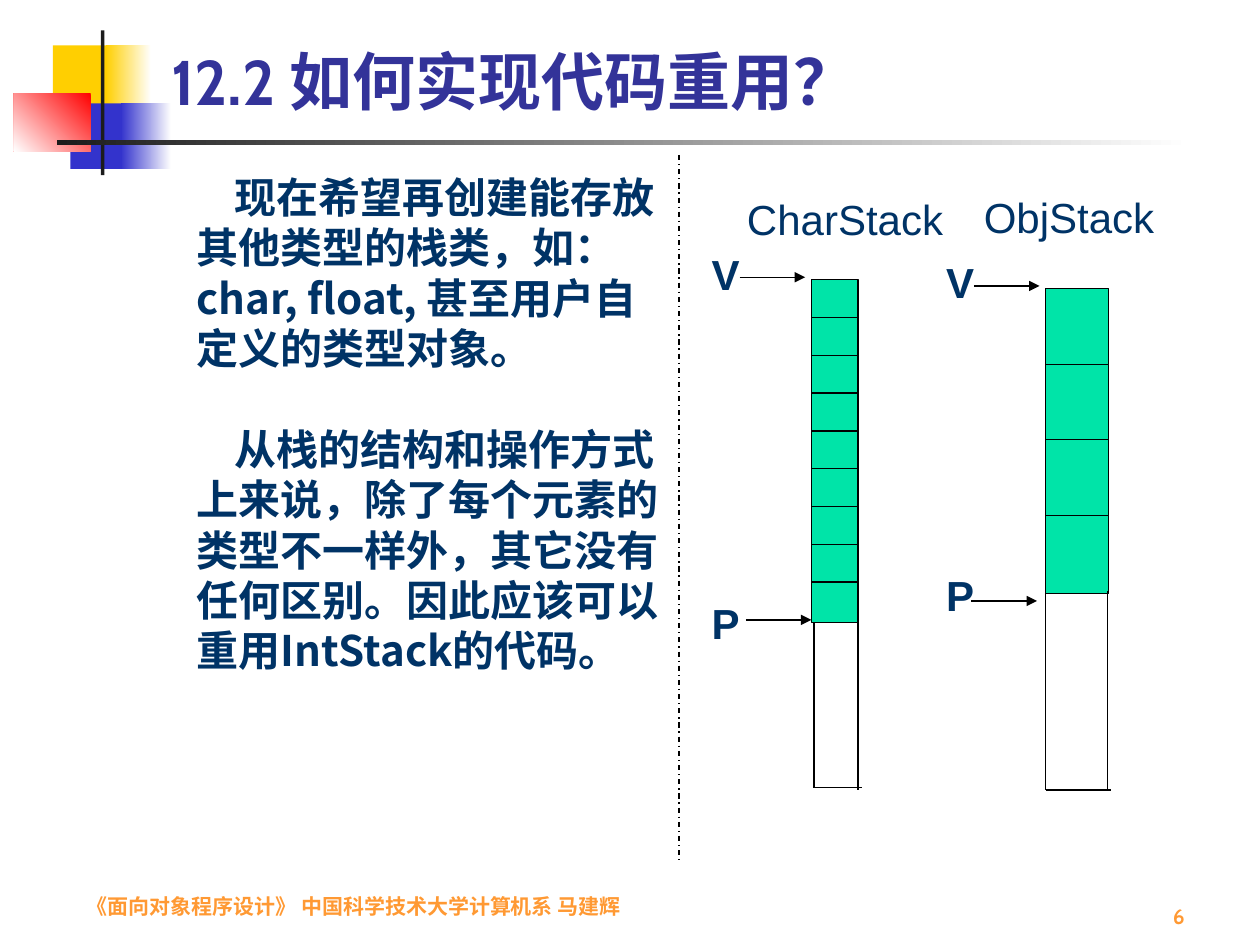
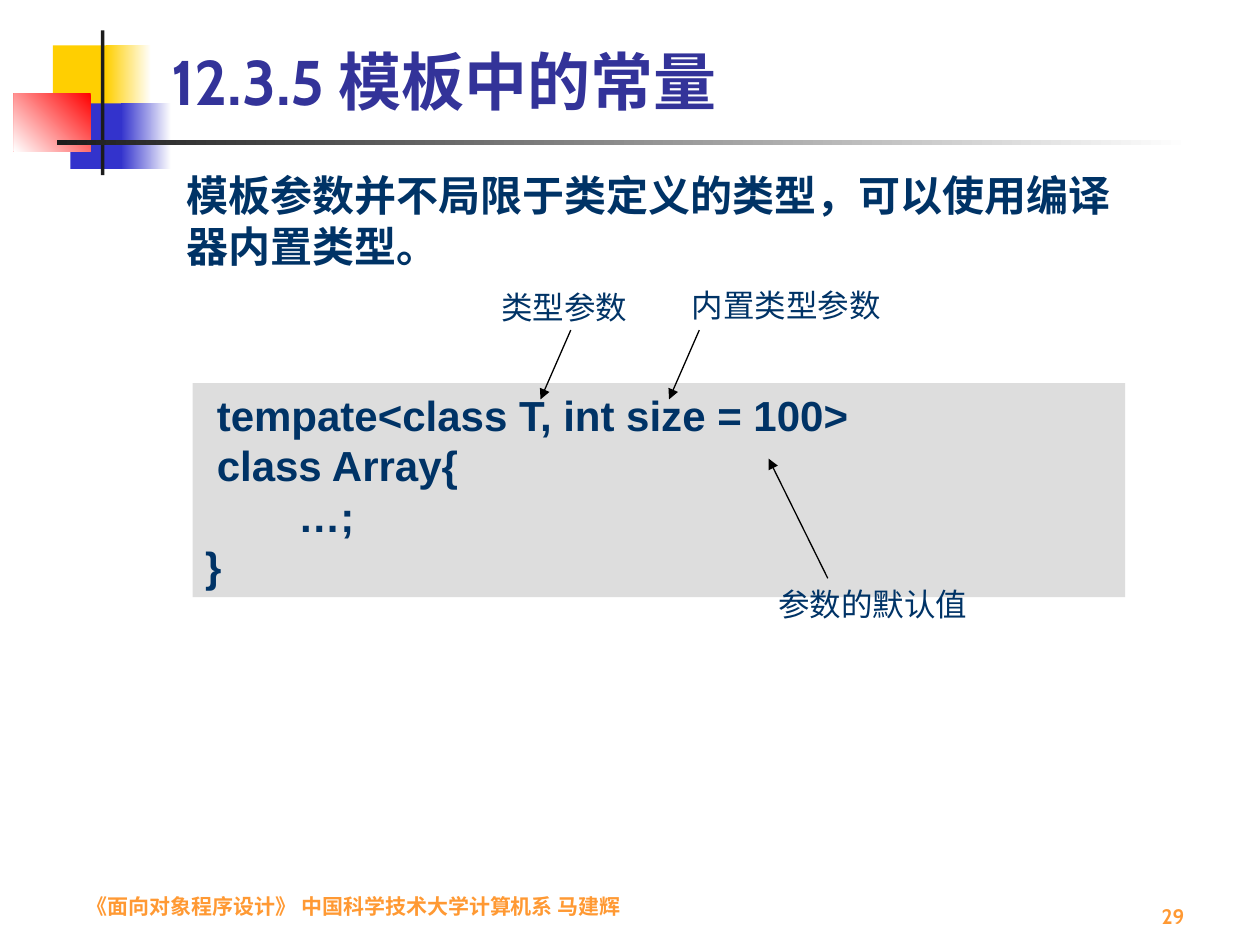
from pptx import Presentation
from pptx.dml.color import RGBColor
from pptx.enum.dml import MSO_LINE
from pptx.enum.shapes import MSO_CONNECTOR, MSO_SHAPE
from pptx.enum.text import MSO_ANCHOR, PP_ALIGN
from pptx.oxml.ns import qn
from pptx.util import Inches, Pt
from lxml import etree

# Shared look
WHITE, YELLOW, BLUE, RED, DARK = "FFFFFF", "FFCF01", "3333CC", "FF0000", "1C1C1C"
BLACK, GREEN, GRAY = "000000", "00E4A8", "DDDDDD"
INK, TITLE_COLOR, FOOTER_COLOR = "003366", "333399", "FF9933"
BODY_FONT, TITLE_FONT, CJK_FONT = "Arial", "Cabin", "Noto Sans CJK SC"
FOOTER = "《面向对象程序设计》 中国科学技术大学计算机系 马建辉"


def rgb(color):
    return RGBColor.from_string(color)


# Element builders
def add_rect(slide, x, y, w, h, fill, line=None, angle=0):
    """Draw a rectangle; a pair of colours gives a gradient."""
    sp = slide.shapes.add_shape(MSO_SHAPE.RECTANGLE, Inches(x), Inches(y),
                                Inches(w), Inches(h))
    sp.shadow.inherit = False
    if isinstance(fill, tuple):
        sp.fill.gradient()
        sp.fill.gradient_angle = angle
        for stop, color in zip(sp.fill.gradient_stops, fill):
            stop.color.rgb = rgb(color)
    else:
        sp.fill.solid()
        sp.fill.fore_color.rgb = rgb(fill)
    if line:
        sp.line.color.rgb = rgb(line)
        sp.line.width = Pt(0.75)
    else:
        sp.line.fill.background()
    return sp


def write(tf, lines, size, font=BODY_FONT, color=INK, bold=False,
          align=PP_ALIGN.LEFT, anchor=MSO_ANCHOR.TOP, wrap=True):
    tf.word_wrap = wrap
    tf.vertical_anchor = anchor
    for i, line in enumerate(lines):
        p = tf.paragraphs[0] if i == 0 else tf.add_paragraph()
        p.text = line
        p.alignment = align
        p.line_spacing = Pt(size * 1.2)
        for r in p.runs:
            r.font.size = Pt(size)
            r.font.bold = bold
            r.font.color.rgb = rgb(color)
            r.font.name = font
            ea = etree.SubElement(r.font._element, qn("a:ea"))
            ea.set("typeface", font)


def add_text(slide, x, y, w, h, lines, size, **style):
    sp = slide.shapes.add_textbox(Inches(x), Inches(y), Inches(w), Inches(h))
    write(sp.text_frame, lines, size, **style)
    return sp


def add_label(slide, x, y, w, text, size=24, bold=False):
    add_text(slide, x, y, w, size / 60 + 0.1, [text], size, bold=bold, wrap=False)


def add_line(slide, x1, y1, x2, y2, arrow=False, dash=None):
    cn = slide.shapes.add_connector(MSO_CONNECTOR.STRAIGHT, Inches(x1), Inches(y1),
                                    Inches(x2), Inches(y2))
    cn.line.color.rgb = rgb(BLACK)
    cn.line.width = Pt(0.75)
    if dash:
        cn.line.dash_style = dash
    if arrow:
        etree.SubElement(cn.line._get_or_add_ln(), qn("a:tailEnd"), type="triangle")
    etree.SubElement(cn._element.spPr, qn("a:effectLst"))


def add_pointer(slide, name, label_x, label_y, x, y):
    """Letter with an arrow to a stack."""
    add_label(slide, label_x, label_y, 0.42, name, bold=True)
    add_line(slide, x, y, x + 0.52, y, arrow=True)


def add_stack(slide, x, y, w, cell_h, step, count):
    """Filled cells that overlap slightly, from the top down."""
    for i in range(count):
        add_rect(slide, x, y + i * step, w, cell_h, GREEN, BLACK)


def new_slide(prs, title, number):
    s = prs.slides.add_slide(prs.slide_layouts[6])
    # Corner blocks and rules
    add_rect(s, 0.42, 0.36, 0.48, 0.52, YELLOW)
    add_rect(s, 0.84, 0.36, 0.36, 0.52, (WHITE, YELLOW), angle=180)
    add_rect(s, 0.56, 0.82, 0.46, 0.52, BLUE)
    add_rect(s, 0.96, 0.82, 0.4, 0.52, (WHITE, BLUE), angle=180)
    add_rect(s, 0.11, 0.74, 0.61, 0.46, (RED, WHITE), angle=225)
    add_rect(s, 0.8, 0.24, 0.03, 1.15, DARK)
    add_rect(s, 0.45, 1.11, 9, 0.04, (WHITE, DARK), angle=180)
    # Footer, page number and title
    small = dict(size=12, font=TITLE_FONT, color=FOOTER_COLOR, bold=True,
                 anchor=MSO_ANCHOR.BOTTOM)
    add_text(s, 0.59, 6.9, 4.49, 0.44, [FOOTER], **small)
    add_text(s, 7.42, 6.92, 2.08, 0.5, [str(number)], align=PP_ALIGN.RIGHT, **small)
    add_text(s, 1.26, 0.23, 8.52, 0.76, [title], 36, font=TITLE_FONT,
             color=TITLE_COLOR, bold=True, anchor=MSO_ANCHOR.BOTTOM)
    return s


# Slides
def build_reuse(prs):
    s = new_slide(prs, "12.2 如何实现代码重用？", 6)

    # CharStack: the cells cover the top of the left wall
    add_line(s, 6.46, 4.75, 6.46, 6.25)
    add_stack(s, 6.44, 2.22, 0.37, 0.32, 0.3, 9)
    add_line(s, 6.81, 4.77, 6.81, 6.27)
    add_line(s, 6.46, 6.25, 6.84, 6.25)
    add_pointer(s, "V", 5.55, 1.92, 5.87, 2.2)
    add_pointer(s, "P", 5.55, 4.69, 5.92, 4.92)
    add_label(s, 5.83, 1.49, 1.85, "CharStack")

    # ObjStack
    add_stack(s, 8.3, 2.29, 0.5, 0.62, 0.6, 4)
    for x in (8.3, 8.79):
        add_line(s, x, 4.69, x, 6.27)
    add_line(s, 8.3, 6.27, 8.82, 6.27)
    add_pointer(s, "V", 7.41, 1.99, 7.73, 2.27)
    add_pointer(s, "P", 7.41, 4.47, 7.71, 4.77)
    add_label(s, 7.71, 1.47, 1.65, "ObjStack")

    # Explanation
    body = add_text(s, 1.46, 1.31, 3.94, 4.5, [
        "现在希望再创建能存放其他类型的栈类，如：char, float, 甚至用户自定义的类型对象。",
        "从栈的结构和操作方式上来说，除了每个元素的类型不一样外，其它没有任何区别。"
        "因此应该可以重用IntStack的代码。",
    ], 24, font=CJK_FONT, bold=True)
    for p in body.text_frame.paragraphs:
        p._p.get_or_add_pPr().set("indent", str(Inches(0.3)))
    body.text_frame.paragraphs[1].space_before = Pt(28.8)
    add_line(s, 5.39, 1.23, 5.39, 6.82, dash=MSO_LINE.DASH_DOT)


def build_constants(prs):
    s = new_slide(prs, "12.3.5 模板中的常量", 29)
    add_text(s, 1.38, 1.3, 7.72, 0.9,
             ["模板参数并不局限于类定义的类型，可以使用编译器内置类型。"], 24, bold=True)

    # Code
    code = add_rect(s, 1.53, 3.04, 7.4, 1.7, GRAY)
    write(code.text_frame, [" tempate<class T, int size = 100>", " class Array{",
                            "        …;", "}"], 24, bold=True)

    # Callouts: label place and width, then arrow ends
    for text, x, y, w, arrow in (
        ("类型参数", 3.88, 2.24, 1.2, (4.53, 2.62, 4.29, 3.17)),
        ("内置类型参数", 5.39, 2.22, 1.7, (5.55, 2.62, 5.31, 3.17)),
        ("参数的默认值", 6.08, 4.59, 1.7, (6.57, 4.59, 6.1, 3.64)),
    ):
        add_line(s, *arrow, arrow=True)
        add_label(s, x, y, w, text, size=18)


def main():
    prs = Presentation()
    prs.slide_width, prs.slide_height = Inches(10), Inches(7.5)
    build_reuse(prs)
    build_constants(prs)
    prs.save("out.pptx")


if __name__ == "__main__":
    main()
